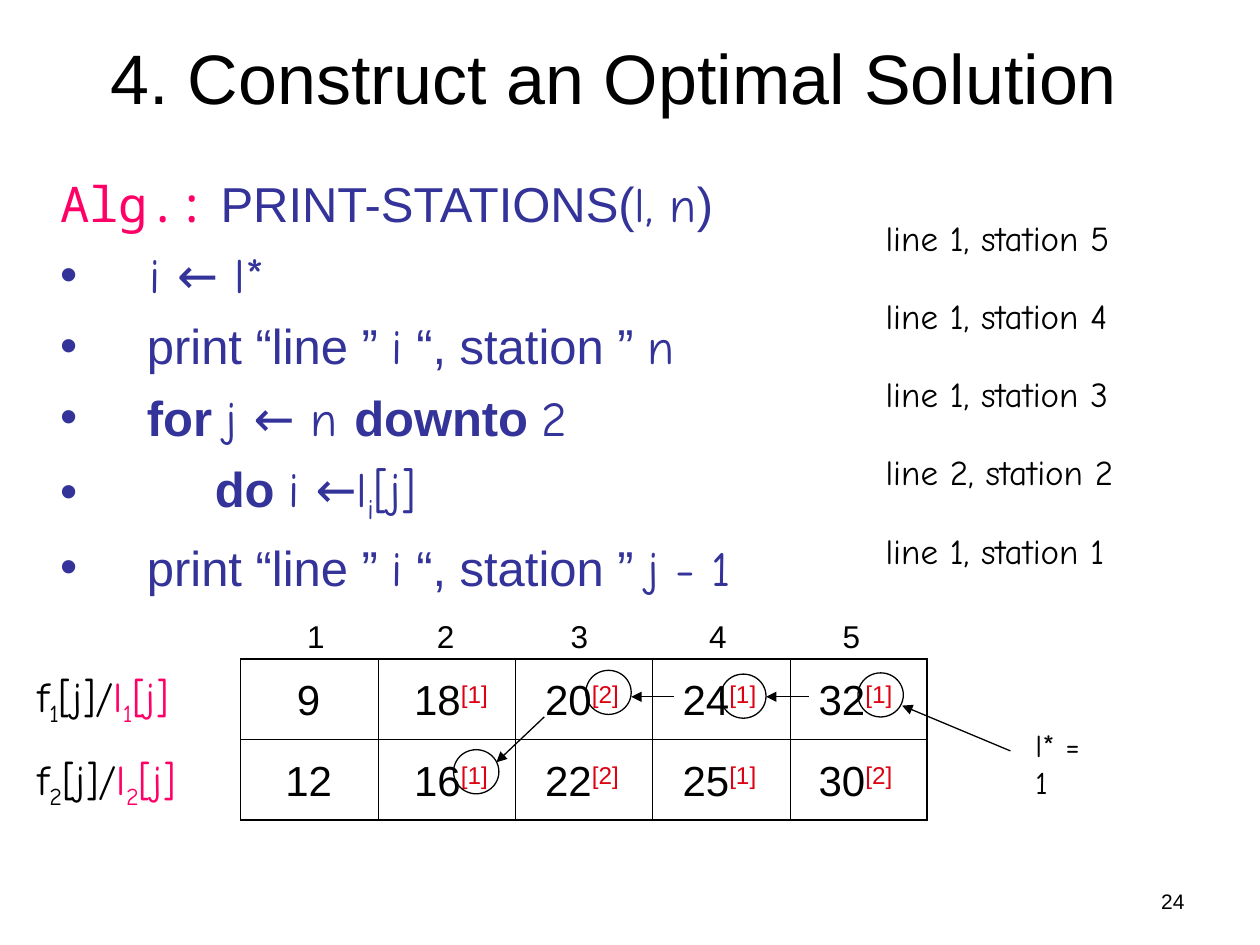
from dataclasses import dataclass
from typing import Optional, Sequence

from lxml.etree import SubElement
from pptx import Presentation
from pptx.dml.color import RGBColor
from pptx.enum.shapes import MSO_CONNECTOR, MSO_SHAPE
from pptx.enum.text import MSO_ANCHOR, PP_ALIGN
from pptx.oxml import parse_xml
from pptx.oxml.ns import nsdecls, qn
from pptx.util import Inches, Pt

BLACK = RGBColor(0, 0, 0)
NAVY = RGBColor(0x33, 0x33, 0x99)
PINK = RGBColor(0xFF, 0x00, 0x66)
RED = RGBColor(0xDD, 0x01, 0x11)
SANS, HAND, MONO = "Arial", "Comic Neue", "Noto Sans Mono"


@dataclass
class Bit:
    text: str
    face: Optional[str] = None
    color: Optional[RGBColor] = None
    bold: Optional[bool] = None
    base: int = 0


@dataclass
class Box:
    left: float
    top: float
    width: float
    height: float
    bits: Sequence[Bit]
    size: int
    face: str = SANS
    align: PP_ALIGN = PP_ALIGN.LEFT
    wrap: bool = True
    anchor: MSO_ANCHOR = MSO_ANCHOR.TOP


@dataclass
class Step:
    ring: tuple[float, float]
    start: tuple[float, float]
    end: tuple[float, float]


def add_bits(para, bits: Sequence[Bit], size: int, face: Optional[str], color: RGBColor) -> None:
    para.font.size = Pt(size)
    para.font.color.rgb = color
    if face:
        para.font.name = face
    for bit in bits:
        run = para.add_run()
        run.text = bit.text
        if bit.face:
            run.font.name = bit.face
        if bit.color is not None:
            run.font.color.rgb = bit.color
        if bit.bold:
            run.font.bold = True
        if bit.base:
            run.font._element.set("baseline", str(bit.base * 1000))


def add_frame(slide, left: float, top: float, width: float, height: float):
    shape = slide.shapes.add_textbox(Inches(left), Inches(top), Inches(width), Inches(height))
    shape.text_frame.word_wrap = True
    return shape.text_frame


def draw_box(slide, box: Box) -> None:
    frame = add_frame(slide, box.left, box.top, box.width, box.height)
    frame.word_wrap = box.wrap
    frame.vertical_anchor = box.anchor
    para = frame.paragraphs[0]
    para.alignment = box.align
    add_bits(para, box.bits, box.size, box.face, BLACK)


def draw_code(slide, lines: Sequence[Sequence[Bit]]) -> None:
    frame = add_frame(slide, 0.38, 1.33, 9, 5.55)
    for row, bits in enumerate(lines):
        para = frame.add_paragraph() if row else frame.paragraphs[0]
        props = para._p.get_or_add_pPr()
        props.set("marL", str(Inches(0.58)))
        props.set("indent", str(Inches(-0.58)))
        if row:
            para.space_before = Pt(7)
            tint = SubElement(props, qn("a:buClr"))
            SubElement(tint, qn("a:srgbClr"), val=str(NAVY))
            SubElement(props, qn("a:buFont"), typeface=SANS)
            SubElement(props, qn("a:buChar"), char="•")
        add_bits(para, bits, 28, None, NAVY)


def draw_grid(slide, rows: int, cols: int) -> None:
    frame = slide.shapes.add_table(
        rows, cols, Inches(1.91), Inches(5.23), Inches(5.45), Inches(1.28))
    table = frame.table
    table.first_row = table.horz_banding = False
    for col in table.columns:
        col.width = Inches(1.09)
    for y in range(rows):
        table.rows[y].height = Inches(0.64)
        for x in range(cols):
            cell = table.cell(y, x)
            cell.fill.background()
            outer = {"L": x == 0, "R": x == cols - 1, "T": y == 0, "B": y == rows - 1}
            props = cell._tc.get_or_add_tcPr()
            for spot, (side, edge) in enumerate(outer.items()):
                width = Pt(1.08 if edge else 0.45)
                props.insert(spot, parse_xml(
                    f'<a:ln{side} {nsdecls("a")} w="{width}"><a:solidFill>'
                    f'<a:srgbClr val="{BLACK}"/></a:solidFill></a:ln{side}>'))


def draw_step(slide, step: Step) -> None:
    left, top = step.ring
    ring = slide.shapes.add_shape(
        MSO_SHAPE.OVAL, Inches(left), Inches(top), Inches(0.36), Inches(0.35))
    ring.shadow.inherit = False
    ring.fill.background()
    arrow = slide.shapes.add_connector(
        MSO_CONNECTOR.STRAIGHT, *map(Inches, step.start + step.end))
    SubElement(arrow._element.spPr, qn("a:effectLst"))
    for shape in (ring, arrow):
        shape.line.color.rgb = BLACK
        shape.line.width = Pt(0.75)
    SubElement(arrow.line._get_or_add_ln(), qn("a:tailEnd"), type="triangle")


PRINT = [Bit(" print “line ” ", SANS), Bit("i", HAND), Bit(" “, station ” ", SANS)]
CODE = [
    [Bit("Alg.:", MONO, PINK), Bit(" PRINT-STATIONS(", SANS), Bit("l, n", HAND), Bit(")", SANS)],
    [Bit(" i ← l*", HAND)],
    [*PRINT, Bit("n", HAND)],
    [Bit(" ", SANS), Bit("for ", SANS, bold=True), Bit("j ← n ", HAND),
     Bit("downto ", SANS, bold=True), Bit("2", HAND)],
    [Bit("      ", SANS), Bit("do ", SANS, bold=True), Bit("i ←l", HAND),
     Bit("i", HAND, base=-25), Bit("[j]", HAND)],
    [*PRINT, Bit("j - 1", HAND)],
]
HEADS = [2.34, 3.37, 4.43, 5.53, 6.59]
SLOTS = [(2.13, 0.64), (3.11, 0.94), (4.2, 0.84), (5.29, 0.84), (6.37, 0.84)]
COSTS = [
    [("9", ""), ("18", "[1]"), ("20", "[2]"), ("24", "[1]"), ("32", "[1]")],
    [("12", ""), ("16", "[1]"), ("22", "[2]"), ("25", "[1]"), ("30", "[2]")],
]
ROUTE = [(1, 5), (1, 4), (1, 3), (2, 2), (1, 1)]
STEPS = [
    Step((6.81, 5.34), (8.02, 5.96), (7.16, 5.6)),
    Step((5.72, 5.35), (6.42, 5.53), (6.08, 5.53)),
    Step((4.65, 5.32), (5.35, 5.53), (5.01, 5.53)),
    Step((3.6, 5.95), (4.32, 5.69), (3.94, 6.05)),
]


def main() -> None:
    deck = Presentation()
    deck.slide_width, deck.slide_height = Inches(10), Inches(7.5)
    slide = deck.slides.add_slide(deck.slide_layouts[6])
    draw_box(slide, Box(0.37, 0.11, 9, 0.99, [Bit("4. Construct an Optimal Solution")], 40,
                        align=PP_ALIGN.CENTER, anchor=MSO_ANCHOR.MIDDLE))
    draw_code(slide, CODE)
    draw_box(slide, Box(7.17, 7, 2.33, 0.35, [Bit("24")], 12, align=PP_ALIGN.RIGHT))
    draw_grid(slide, len(COSTS), len(HEADS))
    for row, costs in enumerate(COSTS):
        mark = str(row + 1)
        label = [Bit("f"), Bit(mark, base=-25), Bit("[j]/"), Bit("l", color=PINK),
                 Bit(mark, color=PINK, base=-25), Bit("[j]", color=PINK)]
        draw_box(slide, Box(0.2, 5.27 + 0.66 * row, 1.8, 0.56, label, 24, HAND))
        for (left, width), (cost, line) in zip(SLOTS, costs):
            bits = [Bit(cost)]
            if line:
                bits.append(Bit(line, color=RED, base=30))
            draw_box(slide, Box(left, 5.3 + 0.64 * row, width, 0.5, bits, 24,
                                align=PP_ALIGN.CENTER))
    for num, left in enumerate(HEADS, 1):
        draw_box(slide, Box(left, 4.85, 0.34, 0.4, [Bit(str(num))], 18, wrap=False))
    draw_box(slide, Box(8.12, 5.71, 0.73, 0.4, [Bit("l* = 1")], 18, HAND, wrap=False))
    for spot, (line, stop) in enumerate(ROUTE):
        text = f"line {line}, station {stop}"
        draw_box(slide, Box(6.93, 1.67 + 0.62 * spot, 2.45, 0.44, [Bit(text)], 20, HAND))
    for step in STEPS:
        draw_step(slide, step)
    deck.save("out.pptx")


if __name__ == "__main__":
    main()
